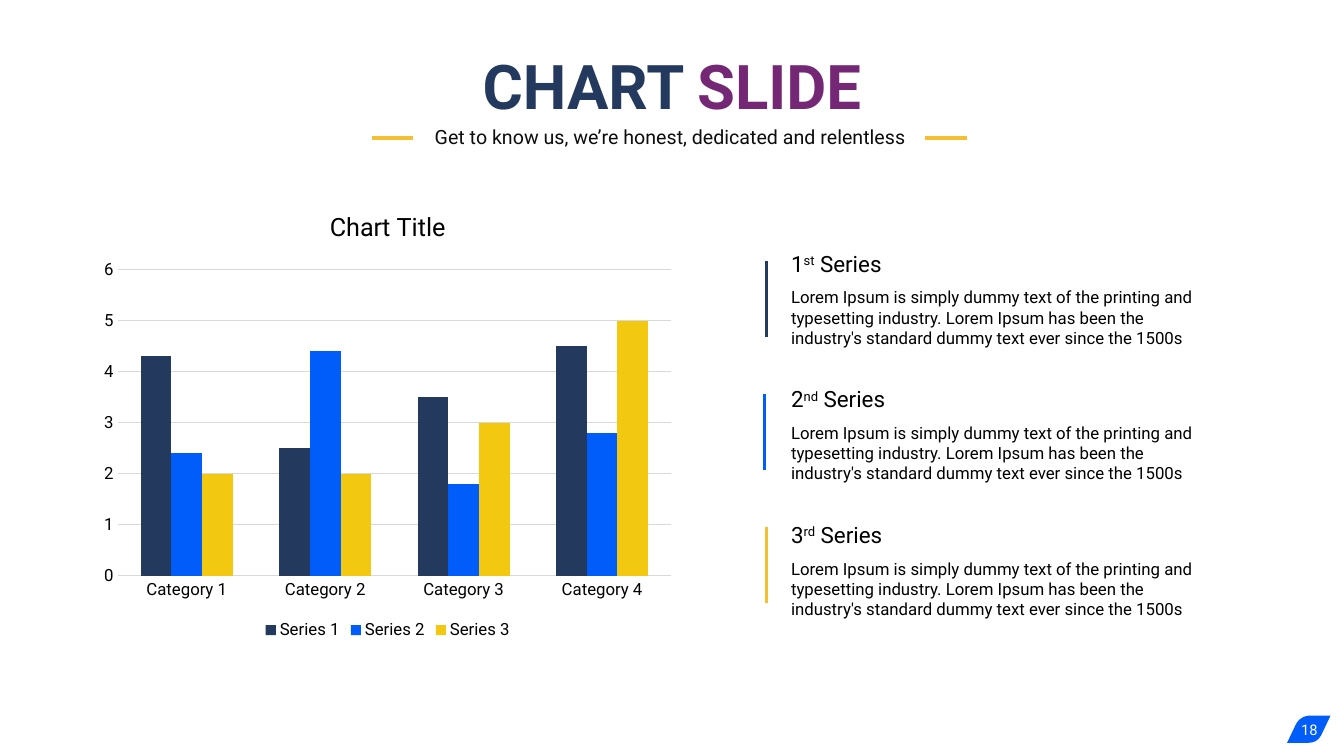
import lxml.etree
import pptx
import pptx.chart.data
import pptx.dml.color
import pptx.enum.chart
import pptx.enum.shapes
import pptx.enum.text
import pptx.oxml
import pptx.oxml.ns
import pptx.util

Pt = pptx.util.Pt
ALIGN = pptx.enum.text.PP_ALIGN
ANCHOR = pptx.enum.text.MSO_ANCHOR
FONT = "Roboto"
NAVY, BLUE, GOLD, AMBER = "24395E", "005DF9", "F2C810", "F4BF33"
BLACK, INK, PURPLE, WHITE, GRID = "000000", "0D0D0D", "742774", "FFFFFF", "D9D9D9"
DETAIL = ("Lorem Ipsum is simply dummy text of the printing and typesetting industry. "
          "Lorem Ipsum has been the industry's standard dummy text ever since the 1500s")


def colour(hex_string):
    return pptx.dml.color.RGBColor.from_string(hex_string)


def set_font(font, size, hex_string, bold=False):
    font.name = FONT
    font.size = Pt(size)
    font.bold = bold
    font.color.rgb = colour(hex_string)


def add_text(page, left, top, width, height, spans, size, hex_string,
             align=ALIGN.LEFT, anchor=ANCHOR.TOP):
    box = page.shapes.add_textbox(Pt(left), Pt(top), Pt(width), Pt(height))
    box.text_frame.word_wrap = True
    box.text_frame.vertical_anchor = anchor
    para = box.text_frame.paragraphs[0]
    para.alignment = align
    set_font(para.font, size, hex_string)
    for text in spans:
        para.add_run().text = text
    return para


def add_rule(page, start_x, start_y, end_x, end_y, hex_string, weight):
    rule = page.shapes.add_connector(
        pptx.enum.shapes.MSO_CONNECTOR.STRAIGHT,
        Pt(start_x), Pt(start_y), Pt(end_x), Pt(end_y))
    rule.line.color.rgb = colour(hex_string)
    rule.line.width = Pt(weight)
    lxml.etree.SubElement(rule.element.spPr, pptx.oxml.ns.qn("a:effectLst"))


def curve(start, first, second, end, steps=10):
    points = []
    for step in range(1, steps + 1):
        t = step / steps
        weights = ((1 - t) ** 3, 3 * t * (1 - t) ** 2, 3 * t * t * (1 - t), t ** 3)
        points.append(tuple(
            Pt(sum(w * v for w, v in zip(weights, values)))
            for values in zip(start, first, second, end)))
    return points


def add_badge(page, number):
    top, bottom = 511.2, 530.6
    outline = curve((935.3, top), (933.8, top), (928.8, 511.9), (925.9, 517))
    outline += [(Pt(919.4), Pt(bottom)), (Pt(934.6), Pt(bottom))]
    outline += curve((934.6, bottom), (936, bottom), (941, bottom), (943.9, 524.9))
    outline.append((Pt(950.4), Pt(top)))
    builder = page.shapes.build_freeform(Pt(935.3), Pt(top))
    builder.add_line_segments(outline, close=True)
    badge = builder.convert_to_shape()
    badge.shadow.inherit = False
    badge.fill.solid()
    badge.fill.fore_color.rgb = colour(BLUE)
    badge.line.fill.background()
    add_text(page, 914.4, 507, 41.8, 28.8, [number], 10.5, WHITE,
             ALIGN.CENTER, ANCHOR.MIDDLE)


def add_heading(page):
    title = page.shapes.title
    title.left, title.top, title.width, title.height = Pt(66), Pt(35.3), Pt(828), Pt(51)
    title.text_frame.auto_size = pptx.enum.text.MSO_AUTO_SIZE.NONE
    title.text_frame.vertical_anchor = ANCHOR.MIDDLE
    para = title.text_frame.paragraphs[0]
    para.alignment = ALIGN.CENTER
    for text, size, hex_string in (("CHART", 44, NAVY), (" ", 36, INK), ("SLIDE", 44, PURPLE)):
        span = para.add_run()
        span.text = text
        set_font(span.font, size, hex_string, bold=True)
    add_text(page, 64.8, 85.7, 828, 26.6,
             ["Get to know us, we’re honest, dedicated and relentless"], 14, INK, ALIGN.CENTER)
    for left in (265.7, 661):
        add_rule(page, left, 98.6, left + 29.5, 98.6, AMBER, 3)


def add_column_chart(page):
    data = pptx.chart.data.CategoryChartData()
    data.categories = [f"Category {number}" for number in range(1, 5)]
    data.add_series("Series 1", (4.3, 2.5, 3.5, 4.5))
    data.add_series("Series 2", (2.4, 4.4, 1.8, 2.8))
    data.add_series("Series 3", (2, 2, 3, 5))
    chart = page.shapes.add_chart(
        pptx.enum.chart.XL_CHART_TYPE.COLUMN_CLUSTERED,
        Pt(66), Pt(136.8), Pt(422), Pt(323.3), data).chart
    set_font(chart.font, 10, BLACK)

    chart.has_title = True
    chart.chart_title.include_in_layout = False
    chart.chart_title.text_frame.text = "Chart Title"
    set_font(chart.chart_title.text_frame.paragraphs[0].font, 18, BLACK)

    chart.has_legend = True
    chart.legend.position = pptx.enum.chart.XL_LEGEND_POSITION.BOTTOM
    chart.legend.include_in_layout = False
    set_font(chart.legend.font, 12, BLACK)

    for axis in (chart.category_axis, chart.value_axis):
        axis.major_tick_mark = pptx.enum.chart.XL_TICK_MARK.NONE
        axis.minor_tick_mark = pptx.enum.chart.XL_TICK_MARK.NONE
        axis.format.line.fill.background()
        set_font(axis.tick_labels.font, 12, BLACK)
    values = chart.value_axis
    values.minimum_scale, values.maximum_scale, values.major_unit = 0, 6, 1
    values.has_major_gridlines = True
    values.major_gridlines.format.line.color.rgb = colour(GRID)
    values.major_gridlines.format.line.width = Pt(0.75)

    plot = chart.plots[0]
    plot.gap_width = 150
    plot.overlap = 0
    plot.vary_by_categories = False
    for series, hex_string in zip(plot.series, (NAVY, BLUE, GOLD)):
        series.format.fill.solid()
        series.format.fill.fore_color.rgb = colour(hex_string)


def add_series_note(page, index, suffix, rule_left, hex_string):
    top = 175 + 96.8 * index
    para = add_text(page, 558, top, 222.5, 26.6,
                    [str(index + 1), suffix, " Series"], 16, BLACK)
    para.runs[1].font._element.set("baseline", "30000")
    add_text(page, 558, top + 26.6, 309.6, 51.1, [DETAIL], 12, BLACK)
    rule_top = 186.5 + 95 * index
    add_rule(page, rule_left, rule_top, rule_left, rule_top + 54.5, hex_string, 2.25)


def main():
    deck = pptx.Presentation()
    deck.slide_width, deck.slide_height = Pt(960), Pt(540)
    page = deck.slides.add_slide(deck.slide_layouts[5])
    add_badge(page, "18")
    add_heading(page)
    add_column_chart(page)
    notes = (("st", 547.2, NAVY), ("nd", 545.8, BLUE), ("rd", 547.2, AMBER))
    for index, (suffix, rule_left, hex_string) in enumerate(notes):
        add_series_note(page, index, suffix, rule_left, hex_string)
    deck.save("out.pptx")


if __name__ == "__main__":
    main()
